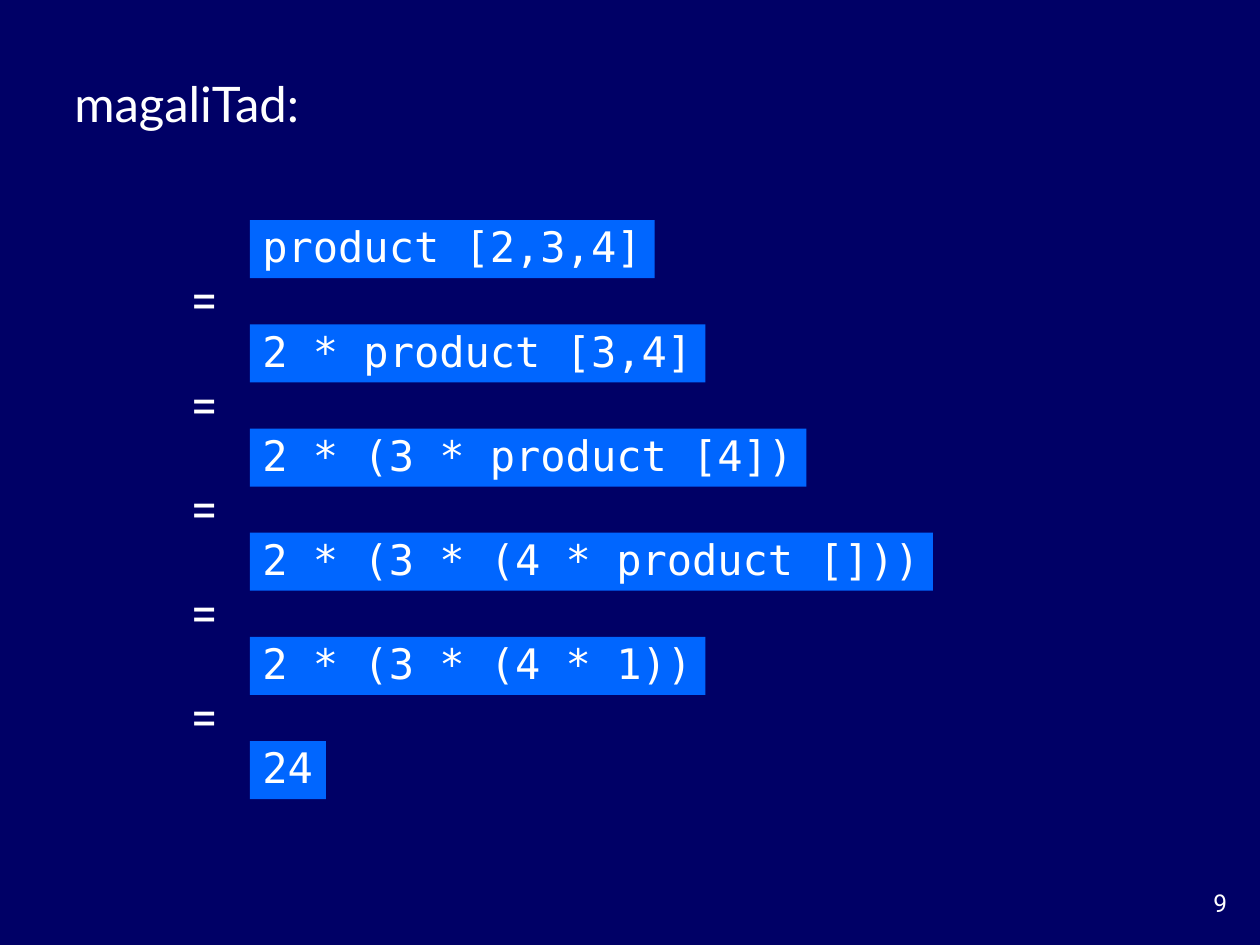
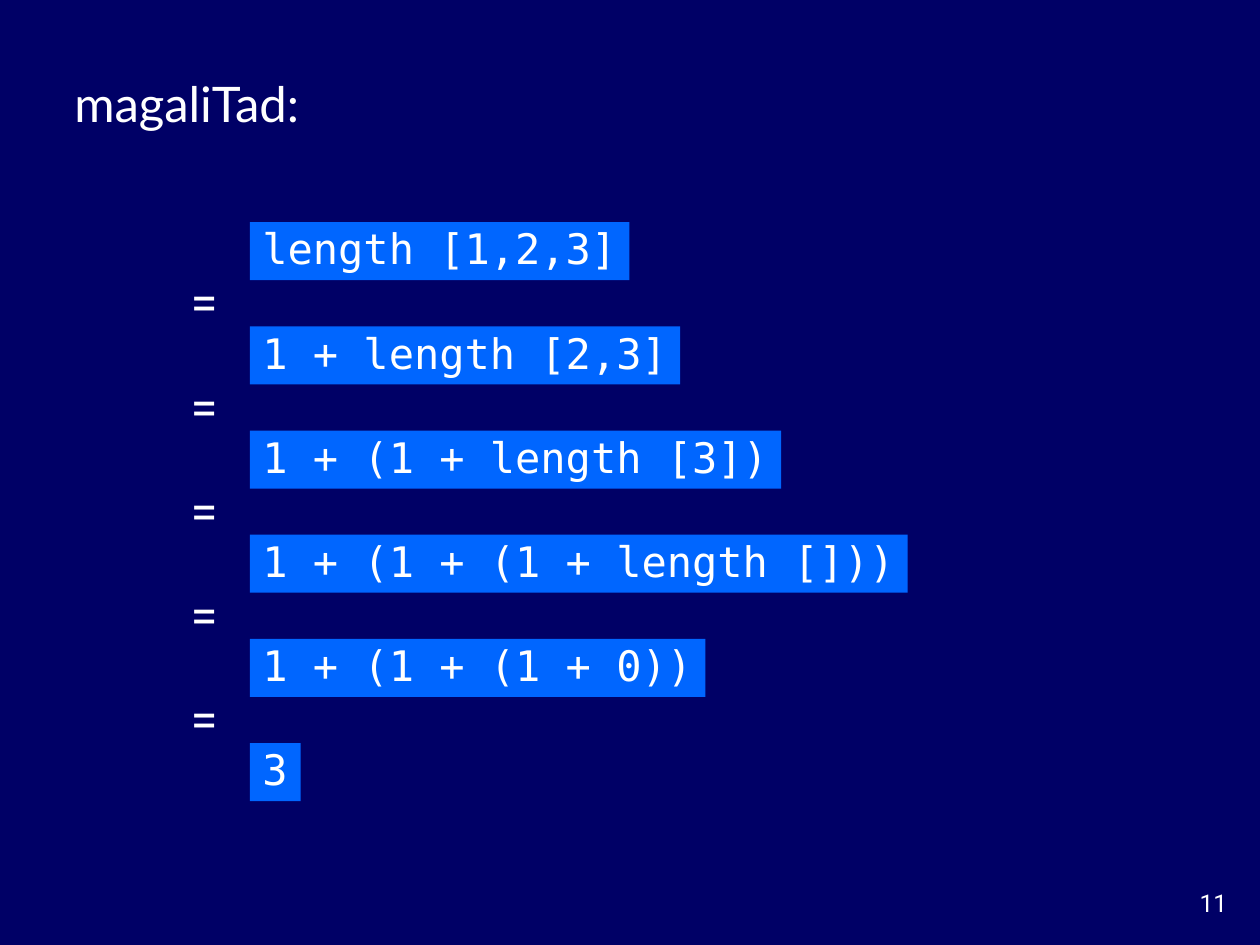
import pptx
import pptx.util
import pptx.dml.color
import pptx.enum.shapes
import pptx.enum.text

Cm = pptx.util.Cm
Align = pptx.enum.text.PP_ALIGN
Anchor = pptx.enum.text.MSO_ANCHOR

# Content: page number, top of the first step (cm), steps of the evaluation
TITLE = "magaliTad:"
EVALUATIONS = [
    (9, 4.44, [
        "product [2,3,4]",
        "2 * product [3,4]",
        "2 * (3 * product [4])",
        "2 * (3 * (4 * product []))",
        "2 * (3 * (4 * 1))",
        "24",
    ]),
    (11, 4.48, [
        "length [1,2,3]",
        "1 + length [2,3]",
        "1 + (1 + length [3])",
        "1 + (1 + (1 + length []))",
        "1 + (1 + (1 + 0))",
        "3",
    ]),
]

# Shared style
NAVY = pptx.dml.color.RGBColor(0x00, 0x00, 0x66)
BLUE = pptx.dml.color.RGBColor(0x00, 0x66, 0xFF)
WHITE = pptx.dml.color.RGBColor(0xFF, 0xFF, 0xFF)
CODE_FONT, TITLE_FONT, BODY_FONT = "DejaVu Sans Mono", "Lato", "Roboto"

# Layout of the steps, in cm
STEP_LEFT, STEP_HEIGHT, STEP_PITCH = 5.04, 1.17, 2.1
CHARACTER_WIDTH = SIDE_MARGINS = 0.51
EQUALS_LEFT, EQUALS_DROP = 3.58, 0.87


def add_text(shapes, text, left, top, width, height, size=28, font=BODY_FONT,
             align=Align.LEFT, anchor=Anchor.MIDDLE, fill=None, spacing=None, fit=True):
    """Add one line of text, on a filled rectangle if a fill is given."""
    box = [Cm(length) for length in (left, top, width, height)]
    if fill is None:
        shape = shapes.add_textbox(*box)
    else:
        shape = shapes.add_shape(pptx.enum.shapes.MSO_SHAPE.RECTANGLE, *box)
        shape.shadow.inherit = False
        shape.fill.solid()
        shape.fill.fore_color.rgb = fill
        shape.line.fill.background()
    frame = shape.text_frame
    frame.word_wrap = not fit
    if fit:
        frame.auto_size = pptx.enum.text.MSO_AUTO_SIZE.SHAPE_TO_FIT_TEXT
    frame.vertical_anchor = anchor
    paragraph = frame.paragraphs[0]
    paragraph.alignment = align
    if spacing:
        paragraph.line_spacing = spacing
    run = paragraph.add_run()
    run.text = text
    run.font.size = pptx.util.Pt(size)
    run.font.name = font
    run.font.color.rgb = WHITE


def add_step(shapes, expression, top):
    width = SIDE_MARGINS + CHARACTER_WIDTH * len(expression)
    add_text(shapes, expression, STEP_LEFT, top, width, STEP_HEIGHT,
             size=24, font=CODE_FONT, fill=BLUE, spacing=0.9)


def add_evaluation_slide(presentation, number, first_top, steps):
    slide = presentation.slides.add_slide(presentation.slide_layouts[6])
    slide.background.fill.solid()
    slide.background.fill.fore_color.rgb = NAVY

    # Page number and title
    add_text(slide.shapes, str(number), 23.29, 17.78, 1.7, 0.84, size=14,
             align=Align.RIGHT, anchor=Anchor.TOP, fit=False)
    add_text(slide.shapes, TITLE, 1.25, 1.35, 5.61, 1.45, font=TITLE_FONT)

    # Each later step is grouped with the equals sign above it
    add_step(slide.shapes, steps[0], first_top)
    for index, expression in enumerate(steps[1:], start=1):
        top = first_top + index * STEP_PITCH
        group = slide.shapes.add_group_shape()
        add_step(group.shapes, expression, top)
        add_text(group.shapes, "=", EQUALS_LEFT, top - STEP_PITCH + EQUALS_DROP,
                 1.07, 1.45, align=Align.CENTER)


def main():
    presentation = pptx.Presentation()
    presentation.slide_width = Cm(25.4)
    presentation.slide_height = Cm(19.05)
    for number, first_top, steps in EVALUATIONS:
        add_evaluation_slide(presentation, number, first_top, steps)
    presentation.save("out.pptx")


if __name__ == "__main__":
    main()
